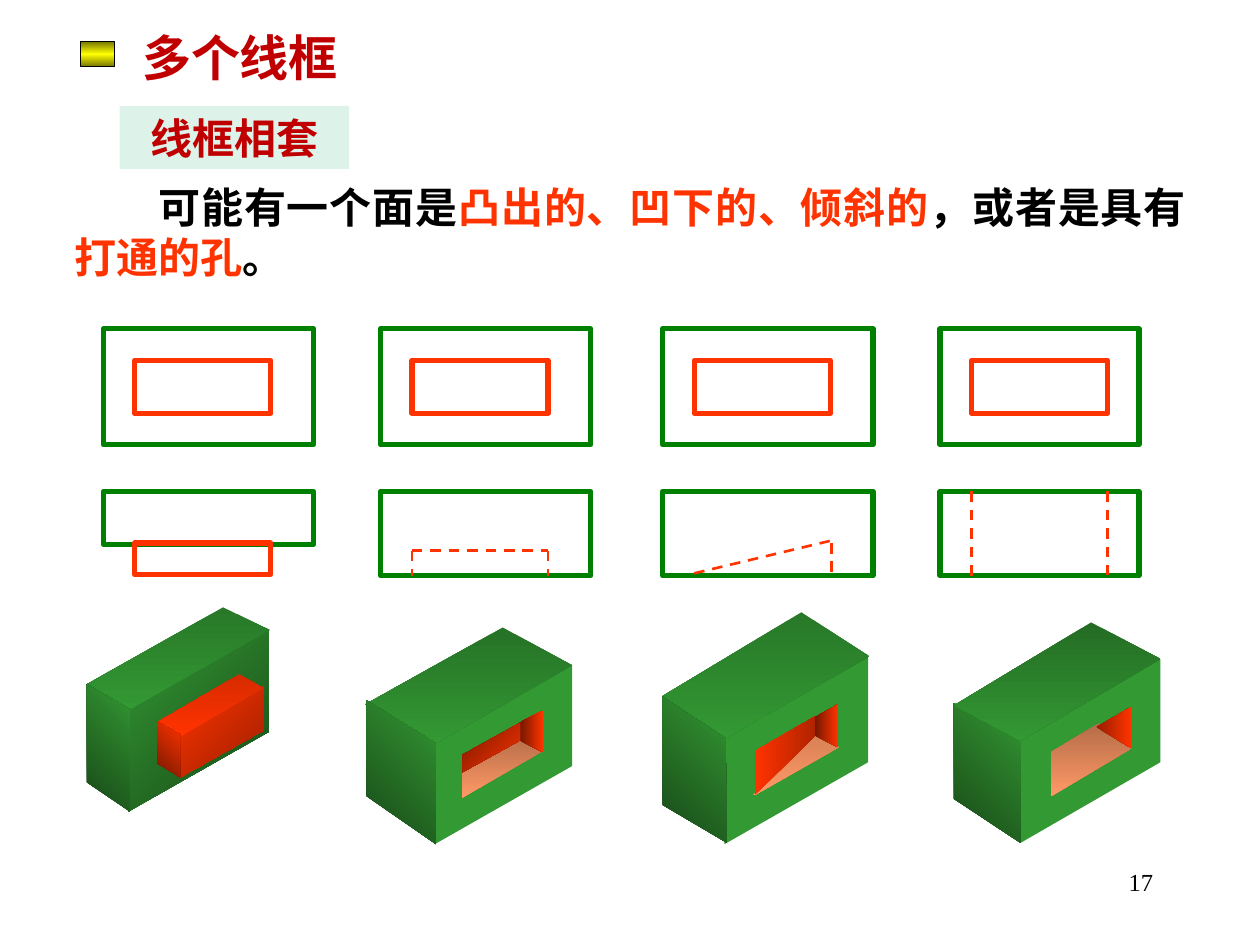
from copy import deepcopy
from dataclasses import dataclass

from pptx import Presentation
from pptx.dml.color import RGBColor
from pptx.enum.dml import MSO_LINE
from pptx.enum.shapes import MSO_CONNECTOR, MSO_SHAPE
from pptx.enum.text import MSO_AUTO_SIZE, PP_ALIGN
from pptx.oxml.ns import qn
from pptx.util import Inches, Pt

BLACK = RGBColor(0x00, 0x00, 0x00)
CRIMSON = RGBColor(0xC0, 0x00, 0x00)
MINT = RGBColor(0xDD, 0xF3, 0xEA)
OLIVE = RGBColor(0x76, 0x76, 0x00)
YELLOW = RGBColor(0xFF, 0xFF, 0x00)
OUTLINE_GREEN = RGBColor(0x00, 0x80, 0x00)
GREEN = RGBColor(0x33, 0x99, 0x33)
DEEP_GREEN = RGBColor(0x18, 0x47, 0x18)
TOP_GREEN = RGBColor(0x28, 0x78, 0x28)
RECESS_GREEN = RGBColor(0x26, 0x72, 0x26)
TUNNEL_GREEN = RGBColor(0x24, 0x6C, 0x24)
RED = RGBColor(0xFF, 0x33, 0x00)
DEEP_RED = RGBColor(0x76, 0x18, 0x00)
BOSS_RED = RGBColor(0x9B, 0x1F, 0x00)
BOSS_TOP_RED = RGBColor(0xD7, 0x2B, 0x00)
TUNNEL_RED = RGBColor(0x96, 0x1E, 0x00)
SLOPE_RED = RGBColor(0xAF, 0x23, 0x00)
PEACH = RGBColor(0xFF, 0x99, 0x66)
RECESS_PEACH = RGBColor(0xB9, 0x6F, 0x4A)
TUNNEL_PEACH = RGBColor(0xB4, 0x6C, 0x48)
SLOPE_PEACH = RGBColor(0xD7, 0x81, 0x56)

FRAME_LEFTS = (0.82, 3.02, 5.26, 7.46)
FRAME_WIDTHS = (1.67, 1.67, 1.67, 1.58)
INSET, INNER_WIDTH = 0.25, 1.08
PLAN_TOP, FRONT_TOP = 2.61, 3.9


@dataclass(frozen=True)
class Face:
    """A flat side of a solid, with its shading colours and clockwise angle."""
    colors: tuple[RGBColor, ...]
    angle: int
    points: tuple[tuple[float, float], ...]


@dataclass(frozen=True)
class Label:
    """A text box with coloured spans and its paragraph format."""
    box: tuple[float, float, float, float]
    spans: tuple[tuple[str, RGBColor], ...]
    size: int
    align: PP_ALIGN
    space_before: float = 0
    indent: float = 0
    bold: bool = True
    fill: RGBColor | None = None


SIDE = (DEEP_GREEN, GREEN)
BOSS_SOLID = (
    Face((GREEN, DEEP_GREEN), 45, ((1.02, 5.63), (1.02, 6.44), (2.13, 5.81), (2.13, 4.99))),
    Face((TOP_GREEN, GREEN), 90, ((0.69, 5.43), (1.77, 4.82), (2.14, 5), (1.03, 5.63))),
    Face(SIDE, 315, ((0.69, 5.43), (1.03, 5.63), (1.03, 6.44), (0.69, 6.21))),
    Face((RED, BOSS_RED), 45, ((1.43, 5.83), (1.43, 6.17), (2.09, 5.8), (2.09, 5.45))),
    Face((BOSS_TOP_RED, RED), 90, ((1.25, 5.73), (1.44, 5.84), (2.09, 5.46), (1.9, 5.35))),
    Face((DEEP_RED, RED), 315, ((1.25, 5.73), (1.25, 6.06), (1.43, 6.17), (1.43, 5.83))),
)
RECESS_SOLID = (
    Face((GREEN,), 0, ((3.45, 5.9), (3.45, 6.7), (4.54, 6.08), (4.54, 5.28))),
    Face((RECESS_GREEN, GREEN), 90, ((2.9, 5.59), (3.99, 4.98), (4.54, 5.28), (3.46, 5.9))),
    Face(SIDE, 315, ((2.91, 5.56), (3.46, 5.9), (3.46, 6.7), (2.91, 6.32))),
    Face((RECESS_PEACH, PEACH), 90, ((3.67, 6.14), (4.15, 5.86), (4.31, 5.96), (3.67, 6.33))),
    Face((DEEP_RED, RED), 45, ((3.67, 5.99), (4.14, 5.73), (4.14, 5.87), (3.67, 6.13))),
    Face((DEEP_RED, RED), 0, ((4.13, 5.73), (4.31, 5.64), (4.31, 5.97), (4.13, 5.88))),
)
TUNNEL_SOLID = (
    Face((GREEN,), 0, ((8.1, 5.87), (9.21, 5.23), (9.21, 6.05), (8.1, 6.69))),
    Face((TUNNEL_PEACH, PEACH), 90, ((8.34, 5.97), (8.34, 6.32), (8.98, 5.94), (8.72, 5.74))),
    Face((TUNNEL_RED, RED), 0, ((8.7, 5.77), (8.98, 5.61), (8.98, 5.94))),
    Face(SIDE, 315, ((7.57, 5.58), (8.1, 5.88), (8.1, 6.69), (7.57, 6.34))),
    Face((TUNNEL_GREEN, GREEN), 90, ((7.57, 5.6), (8.1, 5.88), (9.21, 5.23), (8.66, 4.94))),
)
SLOPE_SOLID = (
    Face((GREEN,), 0, ((5.75, 5.86), (5.75, 6.7), (6.89, 6.05), (6.89, 5.21))),
    Face((TOP_GREEN, GREEN), 90, ((5.25, 5.53), (6.36, 4.86), (6.9, 5.21), (5.76, 5.86))),
    Face(SIDE, 315, ((5.26, 5.53), (5.76, 5.86), (5.77, 6.69), (5.26, 6.39))),
    Face((SLOPE_PEACH, PEACH), 90, ((5.98, 6.31), (6.49, 5.82), (6.66, 5.93), (5.99, 6.31))),
    Face((RED, SLOPE_RED), 0, ((5.99, 5.96), (6.48, 5.68), (6.48, 5.83), (5.99, 6.31))),
    Face((DEEP_RED, RED), 0, ((6.47, 5.69), (6.65, 5.59), (6.65, 5.93), (6.47, 5.84))),
)
HIDDEN_EDGES = (
    (),
    ((3.27, 4.37, 4.35, 4.37), (4.35, 4.37, 4.35, 4.57), (3.27, 4.37, 3.27, 4.57)),
    ((5.51, 4.55, 6.6, 4.29), (6.6, 4.31, 6.6, 4.56)),
    ((7.71, 3.9, 7.71, 4.57), (8.79, 3.9, 8.79, 4.56)),
)
LABELS = (
    Label((7.17, 6.83, 2.08, 0.5), (("17", BLACK),), 14, PP_ALIGN.RIGHT, 8.8, bold=False),
    Label((0.49, 1.39, 9.02, 0.9),
          (("可能有一个面是", BLACK), ("凸出的、凹下的、倾斜的", RED),
           ("，或者是具有", BLACK), ("打通的孔", RED), ("。", BLACK)),
          24, PP_ALIGN.JUSTIFY, indent=0.67),
    Label((0.95, 0.84, 1.82, 0.5), (("线框相套", CRIMSON),), 24, PP_ALIGN.CENTER, 15, fill=MINT),
    Label((1.03, 0.17, 2.89, 0.57), (("多个线框", CRIMSON),), 28, PP_ALIGN.LEFT, 17.5),
)


def shade(shape, colors: tuple[RGBColor, ...], angle: int) -> None:
    """Fill a shape with one colour or with evenly spaced gradient stops."""
    if len(colors) == 1:
        shape.fill.solid()
        shape.fill.fore_color.rgb = colors[0]
        return
    shape.fill.gradient()
    shape.fill.gradient_angle = (360 - angle) % 360
    stop_list = shape._element.spPr.find(qn("a:gradFill")).find(qn("a:gsLst"))
    for _ in colors[2:]:
        stop_list.append(deepcopy(stop_list[0]))
    for index, (stop, color) in enumerate(zip(shape.fill.gradient_stops, colors)):
        stop.position = index / (len(colors) - 1)
        stop.color.rgb = color


def draw_solid(page, faces: tuple[Face, ...]) -> None:
    """Draw the faces of one solid as a group."""
    group = page.shapes.add_group_shape()
    for face in faces:
        points = [(Inches(x), Inches(y)) for x, y in face.points]
        builder = group.shapes.build_freeform(*points[0])
        builder.add_line_segments(points[1:], close=True)
        shape = builder.convert_to_shape()
        shape.shadow.inherit = False
        shape.line.fill.background()
        shade(shape, face.colors, face.angle)


def draw_frame(shapes, box: tuple[float, ...], color: RGBColor, width: float = 3):
    """Draw an unfilled rectangle and return it."""
    frame = shapes.add_shape(MSO_SHAPE.RECTANGLE, *map(Inches, box))
    frame.shadow.inherit = False
    frame.fill.background()
    frame.line.color.rgb = color
    frame.line.width = Pt(width)
    return frame


def draw_hidden_edge(shapes, ends: tuple[float, ...]) -> None:
    """Draw a dashed red line."""
    edge = shapes.add_connector(MSO_CONNECTOR.STRAIGHT, *map(Inches, ends))
    for name, value in {"width": Pt(1.5), "dash_style": MSO_LINE.DASH}.items():
        setattr(edge.line, name, value)
    edge.line.color.rgb = RED
    properties = edge._element.spPr
    properties.append(properties.makeelement(qn("a:effectLst"), {}))


def draw_label(page, label: Label) -> None:
    """Draw a text box with its spans."""
    box = page.shapes.add_textbox(*map(Inches, label.box))
    if label.fill is not None:
        shade(box, (label.fill,), 0)
    box.text_frame.word_wrap = True
    box.text_frame.auto_size = MSO_AUTO_SIZE.SHAPE_TO_FIT_TEXT if label.bold else MSO_AUTO_SIZE.NONE
    para = box.text_frame.paragraphs[0]
    for name, value in {"alignment": label.align, "space_before": Pt(label.space_before)}.items():
        setattr(para, name, value)
    para._p.get_or_add_pPr().set("indent", str(Inches(label.indent)))
    for text, color in label.spans:
        span = para.add_run()
        span.text = text
        for name, value in {"name": "Times New Roman", "size": Pt(label.size), "bold": label.bold}.items():
            setattr(span.font, name, value)
        span.font.color.rgb = color


def main() -> None:
    """Build the slide and save it."""
    deck = Presentation()
    deck.slide_width, deck.slide_height = Inches(10), Inches(7.5)
    page = deck.slides.add_slide(deck.slide_layouts[6])
    for solid in (BOSS_SOLID, RECESS_SOLID, TUNNEL_SOLID, SLOPE_SOLID):
        draw_solid(page, solid)
    plans = page.shapes.add_group_shape().shapes
    for left, width, edges in zip(FRAME_LEFTS, FRAME_WIDTHS, HIDDEN_EDGES):
        draw_frame(plans, (left, PLAN_TOP, width, 0.92), OUTLINE_GREEN)
        draw_frame(plans, (left + INSET, PLAN_TOP + INSET, INNER_WIDTH, 0.42), RED)
        front = page.shapes.add_group_shape().shapes
        draw_frame(front, (left, FRONT_TOP, width, 0.67 if edges else 0.42), OUTLINE_GREEN)
        if not edges:
            draw_frame(front, (left + INSET, 4.31, INNER_WIDTH, 0.25), RED)
        for ends in edges:
            draw_hidden_edge(front, ends)
    bullet = draw_frame(page.shapes, (0.64, 0.33, 0.27, 0.2), BLACK, 0.75)
    shade(bullet, (OLIVE, YELLOW, OLIVE), 90)
    for label in LABELS:
        draw_label(page, label)
    deck.save("out.pptx")


if __name__ == "__main__":
    main()
